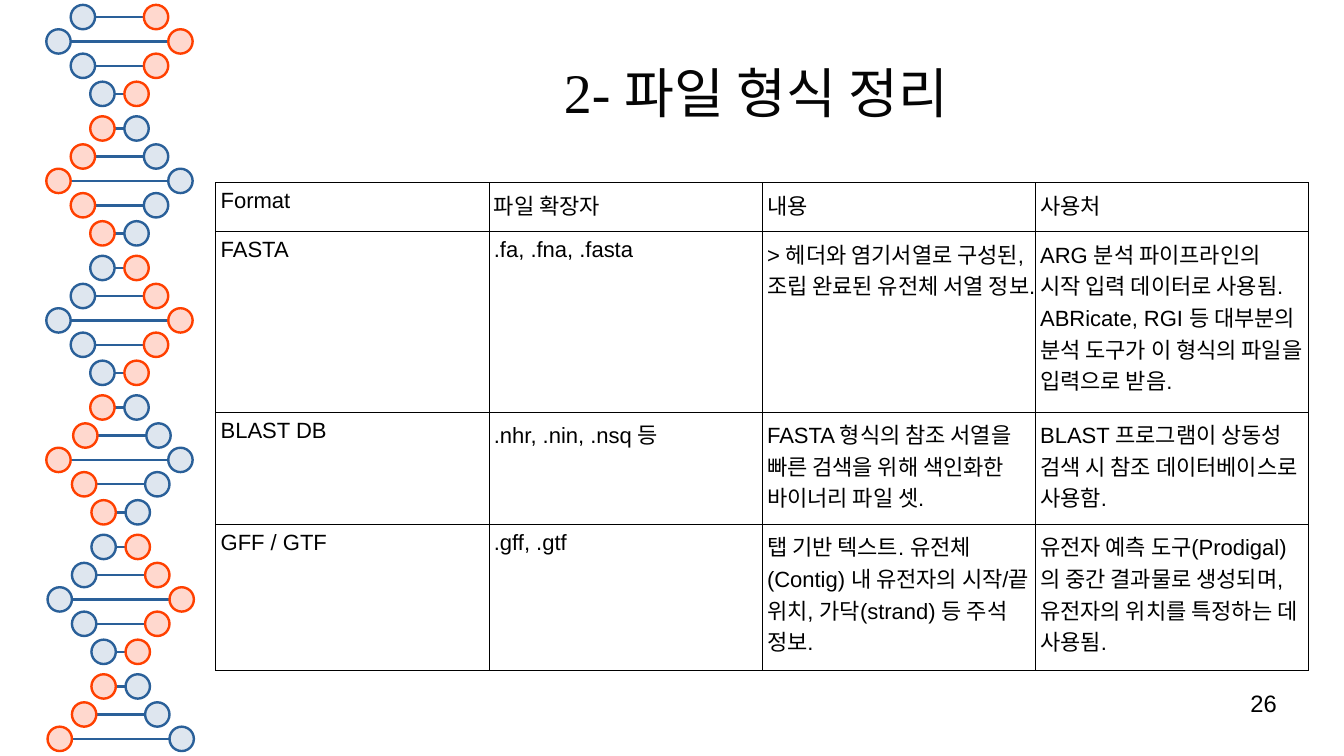
from lxml import etree
from pptx import Presentation
from pptx import util as u
from pptx.dml.color import RGBColor
from pptx.enum import shapes, text
from pptx.oxml.ns import qn

TITLE = [("2- ", 33), ("파일 형식 정리", 32)]
PAGE_NUMBER = "26"
FORMATS = [
    ("Format", "파일 확장자", "내용", "사용처"),
    ("FASTA", ".fa, .fna, .fasta",
     "> 헤더와 염기서열로 구성된, 조립 완료된 유전체 서열 정보.",
     "ARG 분석 파이프라인의 시작 입력 데이터로 사용됨. ABRicate, RGI 등 대부분의 분석 도구가 이 형식의 파일을 입력으로 받음."),
    ("BLAST DB", ".nhr, .nin, .nsq 등",
     "FASTA 형식의 참조 서열을 빠른 검색을 위해 색인화한 바이너리 파일 셋.",
     "BLAST 프로그램이 상동성 검색 시 참조 데이터베이스로 사용함."),
    ("GFF / GTF", ".gff, .gtf",
     "탭 기반 텍스트. 유전체(Contig) 내 유전자의 시작/끝 위치, 가닥(strand) 등 주석 정보.",
     "유전자 예측 도구(Prodigal)의 중간 결과물로 생성되며, 유전자의 위치를 특정하는 데 사용됨."),
]
ROW_HEIGHTS = [0.4, 1.48, 0.92, 1.2]
COLUMN_WIDTH = 2.24

RUNGS = [(-0.43, 0.14), (-0.2, 0.3), (0, 0.5), (0.2, 0.3), (0.43, 0.14)]
HALF_TURN_AXES = [
    [0.98] * 5, [0.98] * 5, [0.98] * 5,
    [0.98, 1.0, 0.98, 0.99, 0.99],
    [0.99] * 5, [0.99] * 5,
]
FIRST_RUNG, LAST_RUNG, HALF_TURN = 0.34, 6.06, 1.14
BASE_SIZE = 0.2

THEME = {
    "blue": ("DEE6EF", "2A6099"), "orange": ("FFD8CE", "FF4000"),
    "ink": "000000", "title_ink": "050505", "paper": "FFFFFF",
    "body_font": "Arial", "title_font": "Times New Roman",
    "cell_size": 13, "page_size": 14, "helix_line": 1.42, "border": 0.57,
}


def color(name):
    return RGBColor.from_string(name)


def add_span(para, words, size, font, ink):
    span = para.add_run()
    span.text = words
    span.font.size = u.Pt(size)
    span.font.name = font
    span.font.color.rgb = color(ink)


def add_text(page, place, spans, font, ink, align, anchor):
    box = page.shapes.add_textbox(*map(u.Inches, place))
    frame = box.text_frame
    frame.word_wrap = True
    frame.vertical_anchor = anchor
    frame.margin_left = frame.margin_right = 0
    frame.margin_top = frame.margin_bottom = 0
    para = frame.paragraphs[0]
    para.alignment = align
    for words, size in spans:
        add_span(para, words, size, font, ink)


def add_bond(page, left, right, y):
    bond = page.shapes.add_connector(
        shapes.MSO_CONNECTOR.STRAIGHT, *map(u.Inches, (left, y, right, y)))
    bond.line.color.rgb = color(THEME["blue"][1])
    bond.line.width = u.Pt(THEME["helix_line"])
    etree.SubElement(bond.element.spPr, qn("a:effectLst"))


def add_base(page, x, y, tone):
    half = BASE_SIZE / 2
    base = page.shapes.add_shape(
        shapes.MSO_SHAPE.OVAL,
        *map(u.Inches, (x - half, y - half, BASE_SIZE, BASE_SIZE)))
    fill, line = THEME[tone]
    base.shadow.inherit = False
    base.fill.solid()
    base.fill.fore_color.rgb = color(fill)
    base.line.color.rgb = color(line)
    base.line.width = u.Pt(THEME["helix_line"])


def add_helix(page):
    for turn, axes in enumerate(HALF_TURN_AXES):
        tones = ("blue", "orange") if turn % 2 == 0 else ("orange", "blue")
        middle = FIRST_RUNG + turn * (LAST_RUNG - FIRST_RUNG) / (len(HALF_TURN_AXES) - 1)
        for (offset, reach), axis in zip(RUNGS, axes):
            y = middle + offset
            if not 0 < y < LAST_RUNG + BASE_SIZE / 2:
                continue
            ends = (axis - reach, axis + reach)
            add_bond(page, ends[0] + BASE_SIZE / 2, ends[1] - BASE_SIZE / 2, y)
            for x, tone in zip(ends, tones):
                add_base(page, x, y, tone)


def add_borders(cell):
    props = cell._tc.get_or_add_tcPr()
    for index, side in enumerate(("a:lnL", "a:lnR", "a:lnT", "a:lnB")):
        edge = etree.Element(qn(side), w=str(u.Pt(THEME["border"])))
        fill = etree.SubElement(edge, qn("a:solidFill"))
        etree.SubElement(fill, qn("a:srgbClr"), val=THEME["ink"])
        props.insert(index, edge)


def add_formats(page):
    columns = len(FORMATS[0])
    place = (1.77, 1.5, COLUMN_WIDTH * columns, sum(ROW_HEIGHTS))
    table = page.shapes.add_table(
        len(FORMATS), columns, *map(u.Inches, place)).table
    table.first_row = table.horz_banding = False
    for column in table.columns:
        column.width = u.Inches(COLUMN_WIDTH)
    for r, (words_row, height) in enumerate(zip(FORMATS, ROW_HEIGHTS)):
        table.rows[r].height = u.Inches(height)
        for c, words in enumerate(words_row):
            cell = table.cell(r, c)
            cell.margin_left = cell.margin_right = u.Inches(0.04)
            cell.margin_top = cell.margin_bottom = u.Inches(0.05)
            cell.fill.solid()
            cell.fill.fore_color.rgb = color(THEME["paper"])
            add_borders(cell)
            add_span(cell.text_frame.paragraphs[0], words,
                     THEME["cell_size"], THEME["body_font"], THEME["ink"])


def main():
    deck = Presentation()
    deck.slide_width, deck.slide_height = u.Inches(11.02), u.Inches(6.2)
    page = deck.slides.add_slide(deck.slide_layouts[6])
    add_helix(page)
    add_text(page, (1.77, 0.24, 8.86, 1.02), TITLE, THEME["title_font"],
             THEME["title_ink"], text.PP_ALIGN.CENTER, text.MSO_ANCHOR.MIDDLE)
    add_formats(page)
    add_text(page, (7.9, 5.65, 2.57, 0.43), [(PAGE_NUMBER, THEME["page_size"])],
             THEME["body_font"], THEME["ink"], text.PP_ALIGN.RIGHT, text.MSO_ANCHOR.TOP)
    deck.save("out.pptx")


if __name__ == "__main__":
    main()
